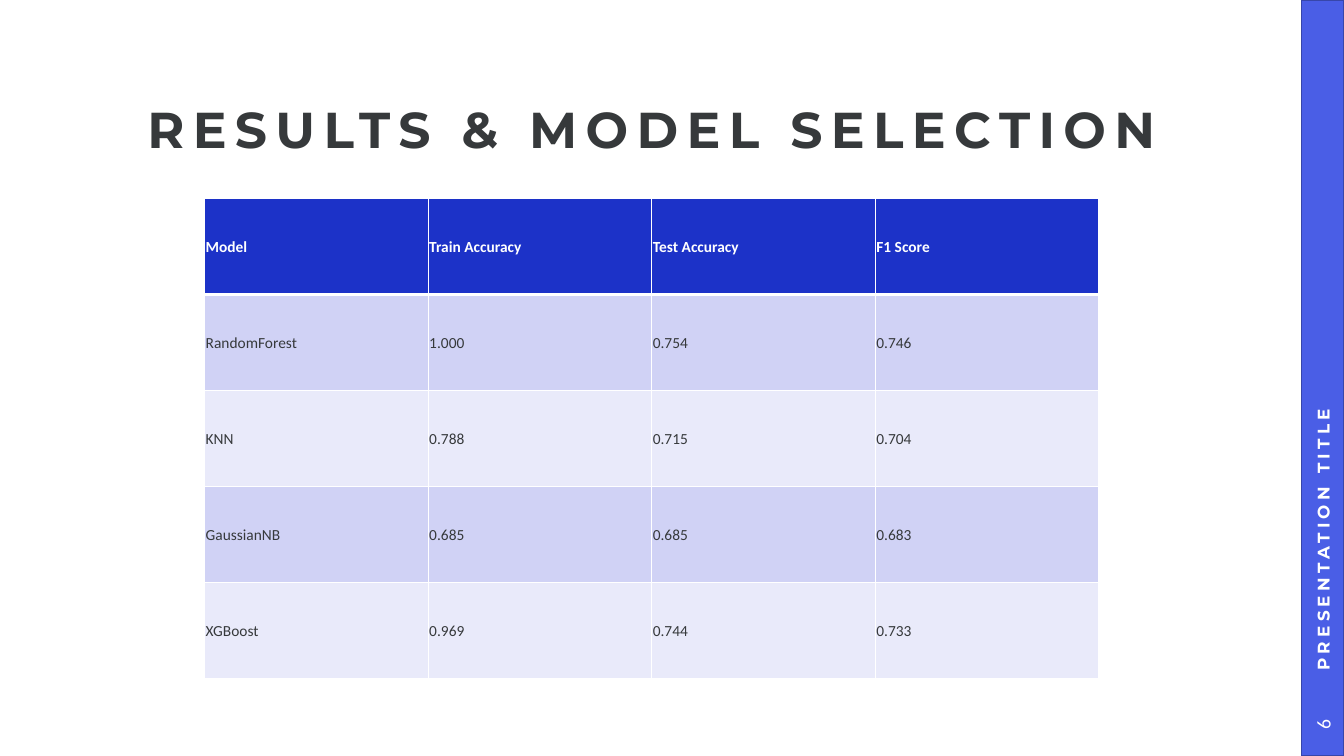
from lxml.etree import SubElement
from pptx import Presentation
from pptx.dml.color import RGBColor
from pptx.enum.shapes import MSO_SHAPE
from pptx.enum.text import MSO_ANCHOR, MSO_AUTO_SIZE, PP_ALIGN
from pptx.oxml.ns import qn
from pptx.util import Inches, Pt

WHITE = RGBColor(0xFF, 0xFF, 0xFF)
INK = RGBColor(0x36, 0x39, 0x3B)
NAVY = RGBColor(0x1C, 0x32, 0xC8)
BLUE = RGBColor(0x4A, 0x5E, 0xE6)
EDGE = RGBColor(0x37, 0x46, 0xAA)
BANDS = RGBColor(0xD0, 0xD2, 0xF5), RGBColor(0xE9, 0xEA, 0xFA)
HEAD, BODY = "Montserrat", "Calibri"

SCORES = [
    ("Model", "Train Accuracy", "Test Accuracy", "F1 Score"),
    ("RandomForest", "1.000", "0.754", "0.746"),
    ("KNN", "0.788", "0.715", "0.704"),
    ("GaussianNB", "0.685", "0.685", "0.683"),
    ("XGBoost", "0.969", "0.744", "0.733"),
]


class Deck:
    def __init__(self):
        self.prs = Presentation()
        self.prs.slide_width = Inches(13.33)
        self.prs.slide_height = Inches(7.5)
        self.slide = self.prs.slides.add_slide(self.prs.slide_layouts[5])
        self.shapes = self.slide.shapes

    def style(self, para, size, face, color, bold=False, track=0):
        """Format a paragraph; track is letter spacing in points."""
        font = para.font
        font.size, font.name, font.bold = Pt(size), face, bold
        font.color.rgb = color
        if track:
            para._p.pPr.find(qn("a:defRPr")).set("spc", str(track * 100))

    def inset(self, frame, left, top, right, bottom):
        frame.margin_left, frame.margin_top = Inches(left), Inches(top)
        frame.margin_right, frame.margin_bottom = Inches(right), Inches(bottom)

    def title(self, text, *box):
        shape = self.shapes.title
        shape.left, shape.top, shape.width, shape.height = map(Inches, box)
        frame = shape.text_frame
        frame.text = text
        frame.auto_size = MSO_AUTO_SIZE.NONE
        frame.vertical_anchor = MSO_ANCHOR.MIDDLE
        self.inset(frame, 0, 0, 0, 0)
        para = frame.paragraphs[0]
        para.alignment, para.line_spacing = PP_ALIGN.CENTER, 0.9
        self.style(para, 36, HEAD, INK, True, 6)

    def bar(self, *box):
        shape = self.shapes.add_shape(MSO_SHAPE.RECTANGLE, *map(Inches, box))
        shape.shadow.inherit = False
        shape.fill.solid()
        shape.fill.fore_color.rgb = BLUE
        shape.line.color.rgb = EDGE
        shape.line.width = Pt(1)

    def label(self, text, box, align, left, *look):
        """Add a line of text that reads upwards."""
        shape = self.shapes.add_textbox(*map(Inches, box))
        shape.rotation = 270
        frame = shape.text_frame
        frame.text, frame.word_wrap = text, True
        frame.vertical_anchor = MSO_ANCHOR.MIDDLE
        self.inset(frame, left, 0.05, 0.1, 0.05)
        para = frame.paragraphs[0]
        para.alignment = align
        self.style(para, *look)

    def border(self, cell, side, width):
        line = SubElement(cell._tc.get_or_add_tcPr(), qn("a:ln" + side), w=str(Pt(width)))
        fill = SubElement(line, qn("a:solidFill"))
        SubElement(fill, qn("a:srgbClr"), val=str(WHITE))

    def cell(self, cell, text, row):
        head = row == 0
        for side in "LRTB":
            thick = (row, side) in ((0, "B"), (1, "T"))
            self.border(cell, side, 3 if thick else 1)
        cell.fill.solid()
        cell.fill.fore_color.rgb = NAVY if head else BANDS[(row - 1) % 2]
        cell.text = text
        cell.vertical_anchor = MSO_ANCHOR.MIDDLE
        self.inset(cell, 0.01, 0.01, 0.01, 0.01)
        para = cell.text_frame.paragraphs[0]
        para.line_spacing, para.space_after = 1.07, Pt(8)
        self.style(para, 11, BODY, WHITE if head else INK, head)

    def table(self, rows, *box):
        size = len(rows), len(rows[0])
        table = self.shapes.add_table(*size, *map(Inches, box)).table
        table.first_row = table.horz_banding = False
        for r, row in enumerate(rows):
            for c, text in enumerate(row):
                self.cell(table.cell(r, c), text, r)


def main():
    deck = Deck()
    deck.bar(12.91, 0, 0.42, 7.5)
    deck.title("RESULTS & MODEL SELECTION", 0.93, 0.96, 11.07, 0.71)
    deck.table(SCORES, 2.03, 1.97, 8.87, 4.76)
    deck.label("PRESENTATION TITLE", (9.68, 3.23, 6.88, 0.42), PP_ALIGN.LEFT,
               0.23, 12, HEAD, WHITE, True, 3)
    deck.label("6", (12.81, 6.98, 0.62, 0.42), PP_ALIGN.CENTER,
               0.1, 14, BODY, WHITE)
    deck.prs.save("out.pptx")


if __name__ == "__main__":
    main()
